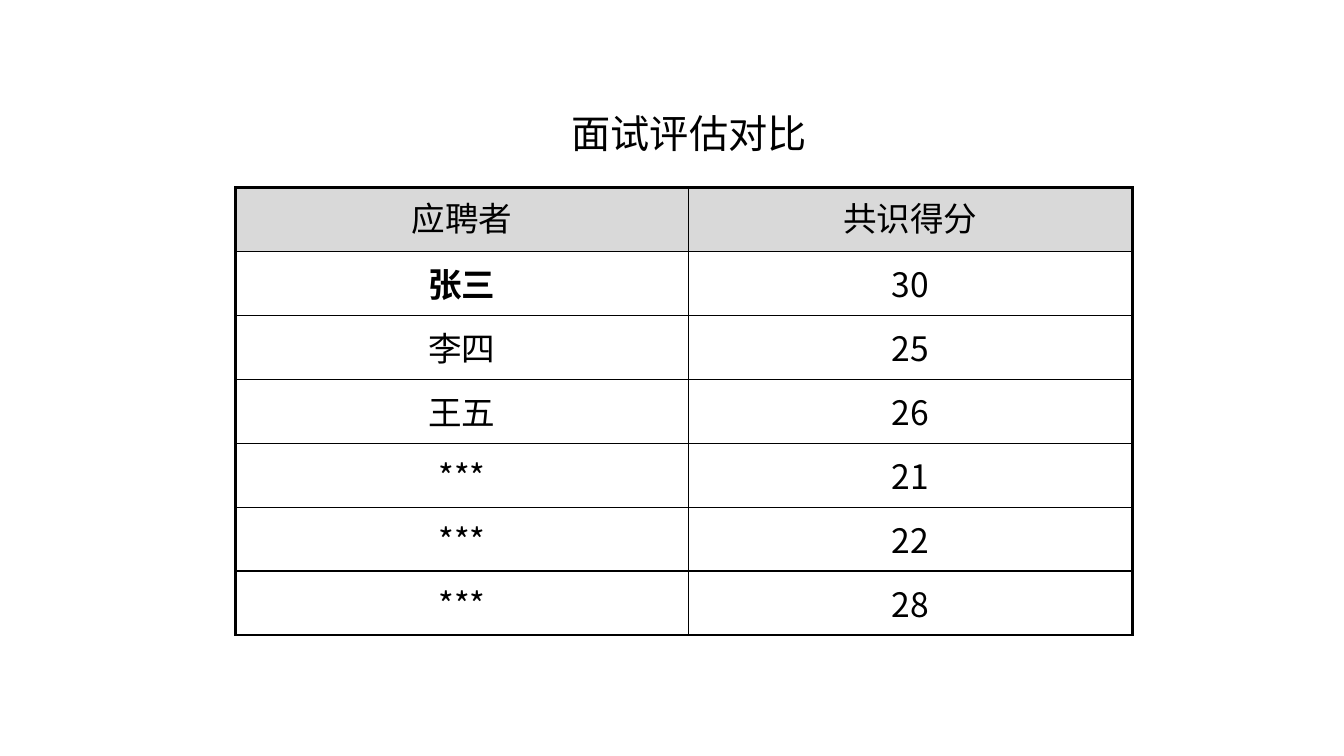
from dataclasses import dataclass

from lxml import etree
from pptx import Presentation
from pptx.dml.color import RGBColor
from pptx.enum.text import MSO_ANCHOR, PP_ALIGN
from pptx.oxml.ns import qn
from pptx.util import Inches, Pt

CENTER = PP_ALIGN.CENTER
TOP, MIDDLE = MSO_ANCHOR.TOP, MSO_ANCHOR.MIDDLE


@dataclass(frozen=True)
class Theme:
    font: str = "Noto Sans CJK SC"
    ink: str = "000000"
    header: str = "D9D9D9"
    paper: str = "FFFFFF"
    title_size: int = 28
    cell_size: int = 24
    outer_line: float = 2.25
    inner_line: float = 1


THEME = Theme()
SCORES = [
    ("应聘者", "共识得分"),
    ("张三", "30"),
    ("李四", "25"),
    ("王五", "26"),
    ("***", "21"),
    ("***", "22"),
    ("***", "28"),
]
TOP_CANDIDATE = "张三"
COLUMN_WIDTHS = (4.49, 4.41)
TABLE_HEIGHT = 4.44


def write_text(frame, text, size, bold=False):
    para = frame.paragraphs[0]
    para.text = text
    para.alignment = CENTER
    font = para.font
    font.name = THEME.font
    font.size = Pt(size)
    font.bold = bold
    font.color.rgb = RGBColor.from_string(THEME.ink)
    properties = para._p.pPr.find(qn("a:defRPr"))
    latin = properties.find(qn("a:latin"))
    east_asian = etree.Element(qn("a:ea"), typeface=THEME.font)
    latin.addnext(east_asian)


def add_title(page, text):
    box = page.shapes.add_textbox(Inches(3.2), Inches(0.93), Inches(7.28), Inches(0.77))
    frame = box.text_frame
    frame.word_wrap = True
    frame.vertical_anchor = MIDDLE
    write_text(frame, text, THEME.title_size)


def set_borders(cell, outer_edges):
    properties = cell._tc.get_or_add_tcPr()
    for index, (side, is_outer) in enumerate(outer_edges.items()):
        width = THEME.outer_line if is_outer else THEME.inner_line
        line = etree.Element(qn(f"a:ln{side}"), w=str(Pt(width)))
        fill = etree.SubElement(line, qn("a:solidFill"))
        etree.SubElement(fill, qn("a:srgbClr"), val=THEME.ink)
        properties.insert(index, line)


def add_score_table(page, scores):
    row_count, column_count = len(scores), len(COLUMN_WIDTHS)
    frame = page.shapes.add_table(
        row_count, column_count, Inches(2.34), Inches(1.86),
        Inches(sum(COLUMN_WIDTHS)), Inches(TABLE_HEIGHT),
    )
    table = frame.table
    for column, width in zip(table.columns, COLUMN_WIDTHS):
        column.width = Inches(width)
    for row_index, values in enumerate(scores):
        is_header = row_index == 0
        for column_index, text in enumerate(values):
            cell = table.cell(row_index, column_index)
            cell.vertical_anchor = TOP if is_header else MIDDLE
            cell.fill.solid()
            color = THEME.header if is_header else THEME.paper
            cell.fill.fore_color.rgb = RGBColor.from_string(color)
            write_text(cell.text_frame, text, THEME.cell_size, text == TOP_CANDIDATE)
            set_borders(cell, {
                "L": column_index == 0,
                "R": column_index == column_count - 1,
                "T": is_header,
                "B": row_index == row_count - 1,
            })


def main():
    deck = Presentation()
    deck.slide_width = Inches(13.34)
    deck.slide_height = Inches(7.5)
    page = deck.slides.add_slide(deck.slide_layouts[6])
    add_title(page, "面试评估对比")
    add_score_table(page, SCORES)
    deck.save("out.pptx")


if __name__ == "__main__":
    main()
